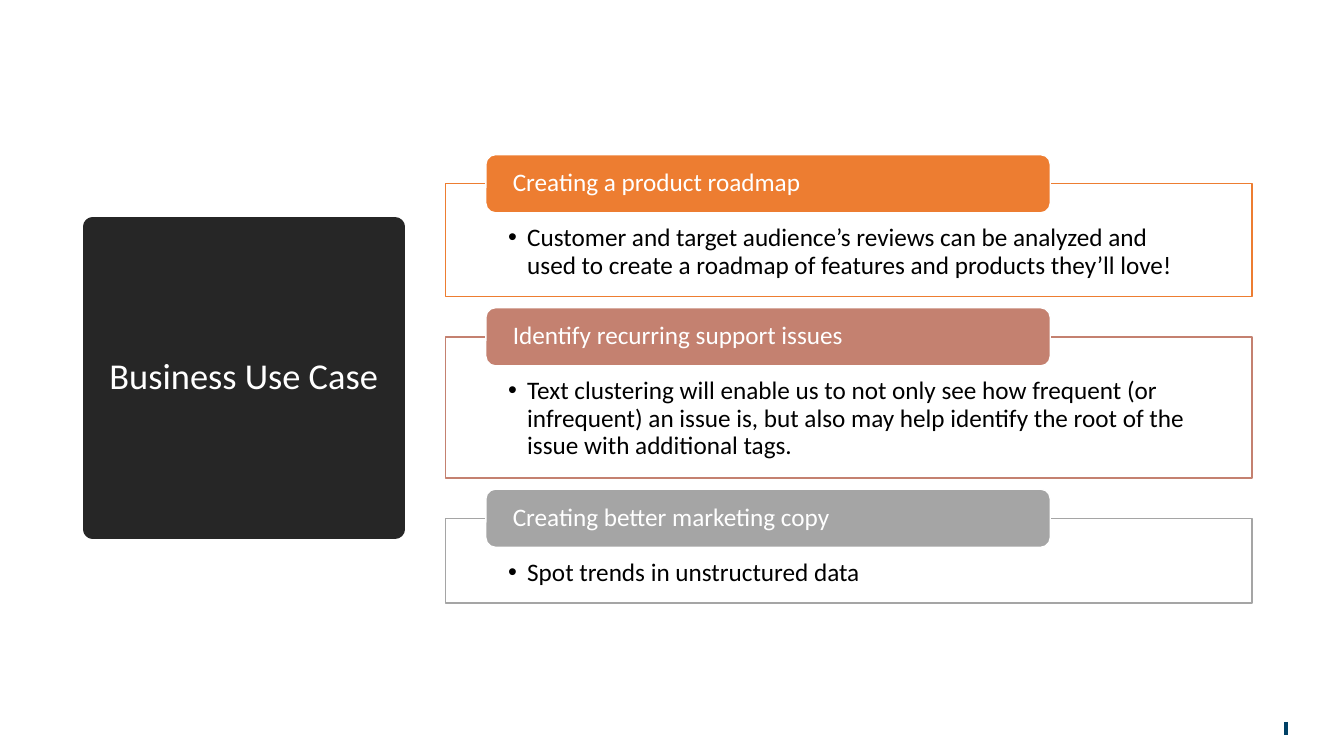
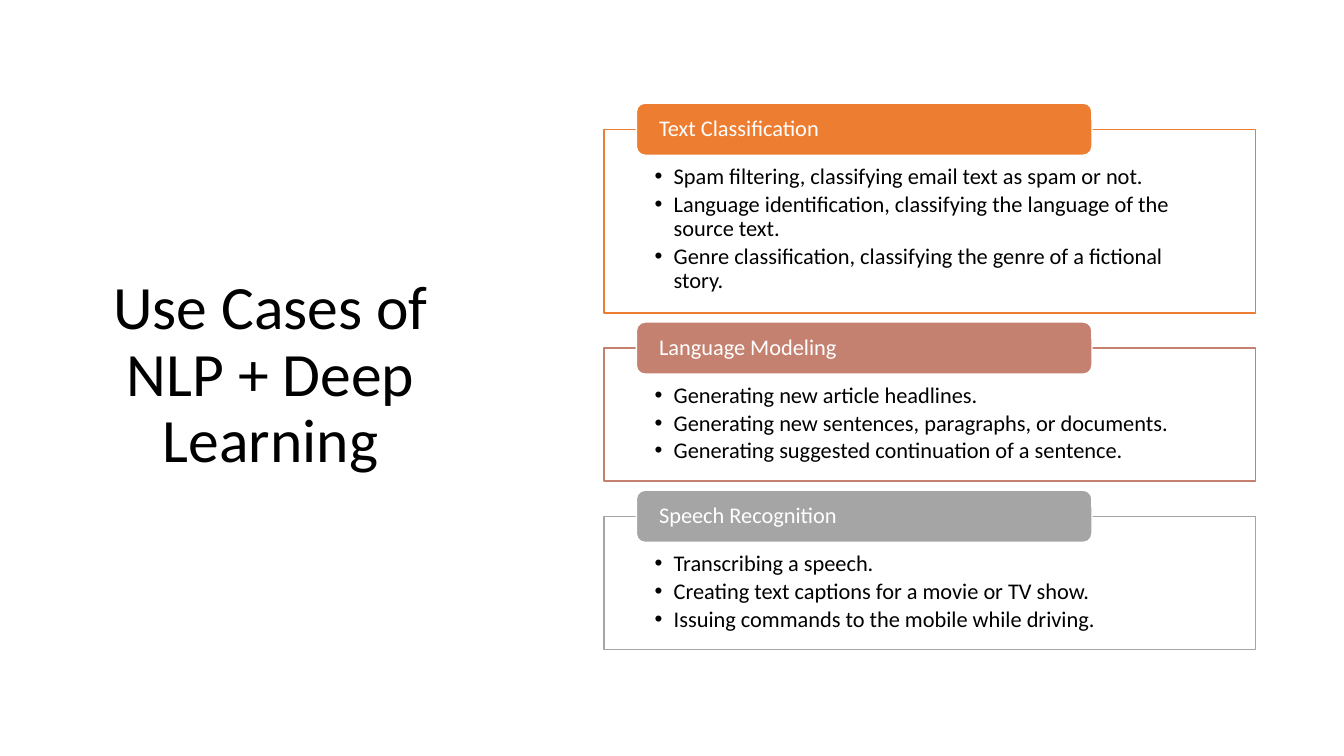
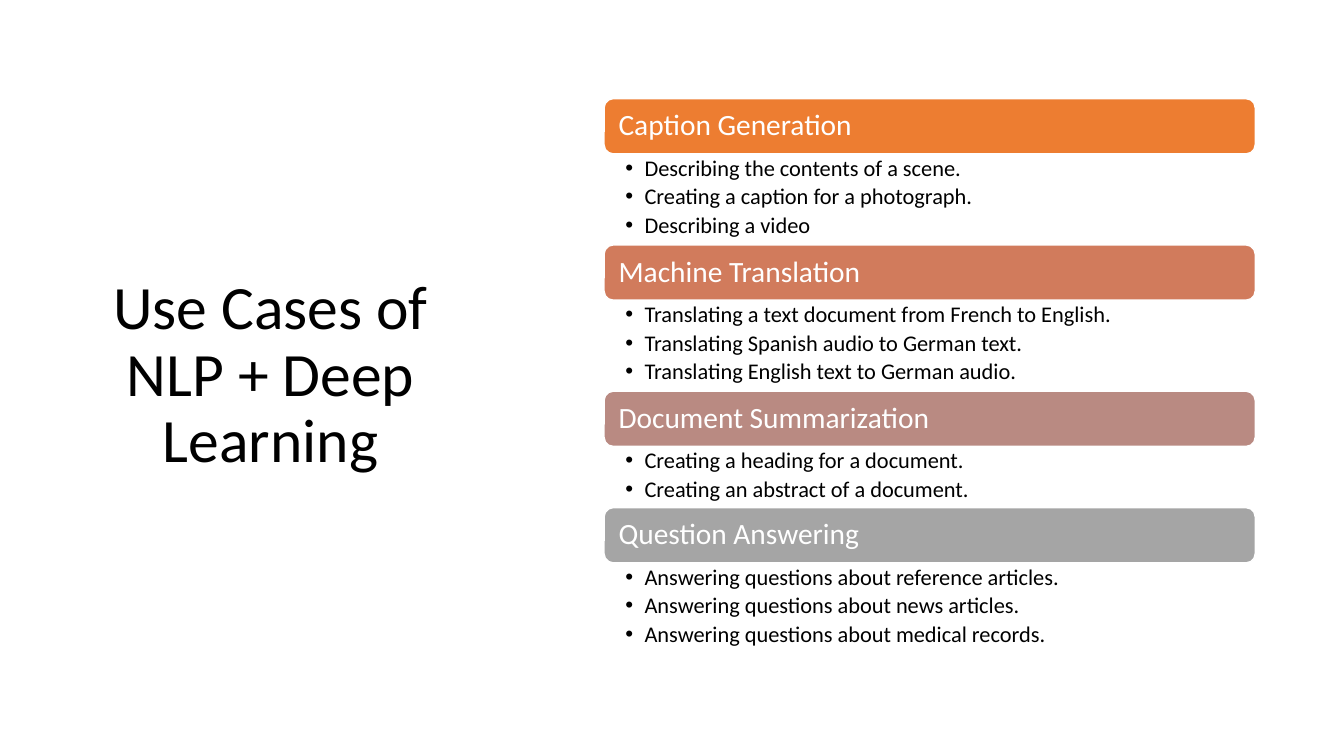
import pptx
import pptx.util
import pptx.dml.color
import pptx.enum.shapes
import pptx.enum.text
import pptx.oxml.ns
import lxml.etree

RGB = pptx.dml.color.RGBColor
BLACK = RGB(0x00, 0x00, 0x00)
WHITE = RGB(0xFF, 0xFF, 0xFF)
DARK = RGB(0x26, 0x26, 0x26)
NAVY = RGB(0x00, 0x41, 0x66)
ORANGE = RGB(0xED, 0x7D, 0x31)
CORAL = RGB(0xD1, 0x7B, 0x5C)
CLAY = RGB(0xC4, 0x81, 0x70)
ROSE = RGB(0xB9, 0x8A, 0x82)
GREY = RGB(0xA5, 0xA5, 0xA5)
FONT = "Calibri"
CENTER = pptx.enum.text.PP_ALIGN.CENTER
LEFT = pptx.enum.text.PP_ALIGN.LEFT
MIDDLE = pptx.enum.text.MSO_ANCHOR.MIDDLE
TOP = pptx.enum.text.MSO_ANCHOR.TOP
qn = pptx.oxml.ns.qn

deck = pptx.Presentation()
deck.slide_width = pptx.util.Inches(13.33)
deck.slide_height = pptx.util.Inches(7.5)
COL = deck.slide_width / 100
ROW = deck.slide_height / 100


def place(shape, x, y, w, h):
    shape.left, shape.top = round(x * COL), round(y * ROW)
    shape.width, shape.height = round(w * COL), round(h * ROW)


def write(para, text, size, color, align=LEFT):
    para.alignment = align
    para.line_spacing = 0.9
    para.space_before = pptx.util.Pt(0)
    run = para.add_run()
    run.text = text
    run.font.name = FONT
    run.font.size = pptx.util.Pt(size)
    run.font.bold = False
    run.font.color.rgb = color


SIDE = dict(title="Use Cases of NLP + Deep Learning", spot=(4.7, 8.15, 30.9, 83.2),
            size=44, ink=BLACK, text=16)

PAGES = [
    dict(title="Business Use Case", spot=(6.9, 30, 22.5, 40), size=26, ink=WHITE,
         text=18, card=True, top=20.45, gap=1.45, drop=0.5, after=0.15,
         box=(33.15, 60), pad=(4.65, 5.47, 4.65, 1.8),
         tab=(36.15, 42, 7.7), inset=1.8, label=18, parts=[
             ("Creating a product roadmap", ORANGE, 14.95, [
                 "Customer and target audience’s reviews can be analyzed and used to create "
                 "a roadmap of features and products they’ll love!"]),
             ("Identify recurring support issues", CLAY, 18.7, [
                 "Text clustering will enable us to not only see how frequent (or infrequent) "
                 "an issue is, but also may help identify the root of the issue with "
                 "additional tags."]),
             ("Creating better marketing copy", GREY, 11.2, [
                 "Spot trends in unstructured data"]),
         ]),
    dict(SIDE, card=True, top=13.65, gap=1.2, drop=0.5, after=0.15,
         box=(44.95, 48.45), pad=(3.75, 4.8, 3.75, 1.6),
         tab=(47.35, 33.9, 6.9), inset=1.5, label=16, parts=[
             ("Text Classification", ORANGE, 24.3, [
                 "Spam filtering, classifying email text as spam or not.",
                 "Language identification, classifying the language of the source text.",
                 "Genre classification, classifying the genre of a fictional story."]),
             ("Language Modeling", CLAY, 17.6, [
                 "Generating new article headlines.",
                 "Generating new sentences, paragraphs, or documents.",
                 "Generating suggested continuation of a sentence."]),
             ("Speech Recognition", GREY, 17.6, [
                 "Transcribing a speech.",
                 "Creating text captions for a movie or TV show.",
                 "Issuing commands to the mobile while driving."]),
         ]),
    dict(SIDE, card=False, top=13.05, gap=0, drop=1, after=0.2,
         box=(44.95, 48.45), pad=(1.58, 0.4, 1.2, 0.4),
         tab=(44.95, 48.45, 7.3), inset=0.88, label=21, parts=[
             ("Caption Generation", ORANGE, 12.05, [
                 "Describing the contents of a scene.",
                 "Creating a caption for a photograph.",
                 "Describing a video"]),
             ("Machine Translation", CORAL, 12.05, [
                 "Translating a text document from French to English.",
                 "Translating Spanish audio to German text.",
                 "Translating English text to German audio."]),
             ("Document Summarization", ROSE, 8.1, [
                 "Creating a heading for a document.",
                 "Creating an abstract of a document."]),
             ("Question Answering", GREY, 12.05, [
                 "Answering questions about reference articles.",
                 "Answering questions about news articles.",
                 "Answering questions about medical records."]),
         ]),
]

slides = []
for page in PAGES:
    slide = deck.slides.add_slide(deck.slide_layouts.get_by_name("Comparison"))
    slides.append(slide)
    title = slide.shapes.title
    place(title, *page["spot"])
    frame = title.text_frame
    frame.auto_size = pptx.enum.text.MSO_AUTO_SIZE.NONE
    frame.vertical_anchor = MIDDLE
    write(frame.paragraphs[0], page["title"], page["size"], page["ink"], CENTER)

    holders = [item for item in slide.placeholders if item.placeholder_format.idx > 0]
    for spare in holders[len(page["parts"]):]:
        spare.element.getparent().remove(spare.element)

    y = page["top"]
    tab_x, tab_w, tab_h = page["tab"]
    box_x, box_w = page["box"]
    for holder, (name, hue, height, lines) in zip(holders, page["parts"]):
        box_y = y + page["drop"] * tab_h
        place(holder, box_x, box_y, box_w, height)
        if page["card"]:
            holder.fill.solid()
            holder.fill.fore_color.rgb = WHITE
            holder.line.color.rgb = hue
            holder.line.width = pptx.util.Pt(1)
        frame = holder.text_frame
        frame.auto_size = pptx.enum.text.MSO_AUTO_SIZE.NONE
        frame.word_wrap = True
        frame.vertical_anchor = TOP
        left, top, right, base = page["pad"]
        frame.margin_left, frame.margin_right = round(left * COL), round(right * COL)
        frame.margin_top, frame.margin_bottom = round(top * ROW), round(base * ROW)
        for i, line in enumerate(lines):
            para = frame.add_paragraph() if i else frame.paragraphs[0]
            props = para._p.get_or_add_pPr()
            indent = pptx.util.Inches(0.19)
            props.set("marL", str(indent))
            props.set("indent", str(-indent))
            lxml.etree.SubElement(props, qn("a:buFont")).set("typeface", "Arial")
            lxml.etree.SubElement(props, qn("a:buChar")).set("char", "•")
            para.space_after = pptx.util.Pt(page["after"] * page["text"])
            write(para, line, page["text"], BLACK)

        tab = slide.shapes.add_shape(pptx.enum.shapes.MSO_SHAPE.ROUNDED_RECTANGLE, 0, 0, 0, 0)
        place(tab, tab_x, y, tab_w, tab_h)
        tab.shadow.inherit = False
        tab.fill.solid()
        tab.fill.fore_color.rgb = hue
        tab.line.color.rgb = WHITE
        tab.line.width = pptx.util.Pt(1)
        frame = tab.text_frame
        frame.word_wrap = True
        frame.vertical_anchor = MIDDLE
        frame.margin_left = frame.margin_right = round(page["inset"] * COL)
        frame.margin_top = frame.margin_bottom = 0
        write(frame.paragraphs[0], name, page["label"], WHITE)
        y = box_y + height + page["gap"]

first = slides[0]
panel = first.shapes.title
panel.fill.solid()
panel.fill.fore_color.rgb = DARK
panel.line.color.rgb = DARK
panel.line.width = pptx.util.Pt(13.75)
lxml.etree.SubElement(panel.line._get_or_add_ln(), qn("a:round"))

mark = first.shapes.add_connector(
    pptx.enum.shapes.MSO_CONNECTOR.STRAIGHT,
    round(95.7 * COL), round(95.47 * ROW), round(95.7 * COL), round(97.2 * ROW))
mark.line.color.rgb = NAVY
mark.line.width = pptx.util.Pt(2.9)
lxml.etree.SubElement(mark.element.spPr, qn("a:effectLst"))

deck.save("out.pptx")
